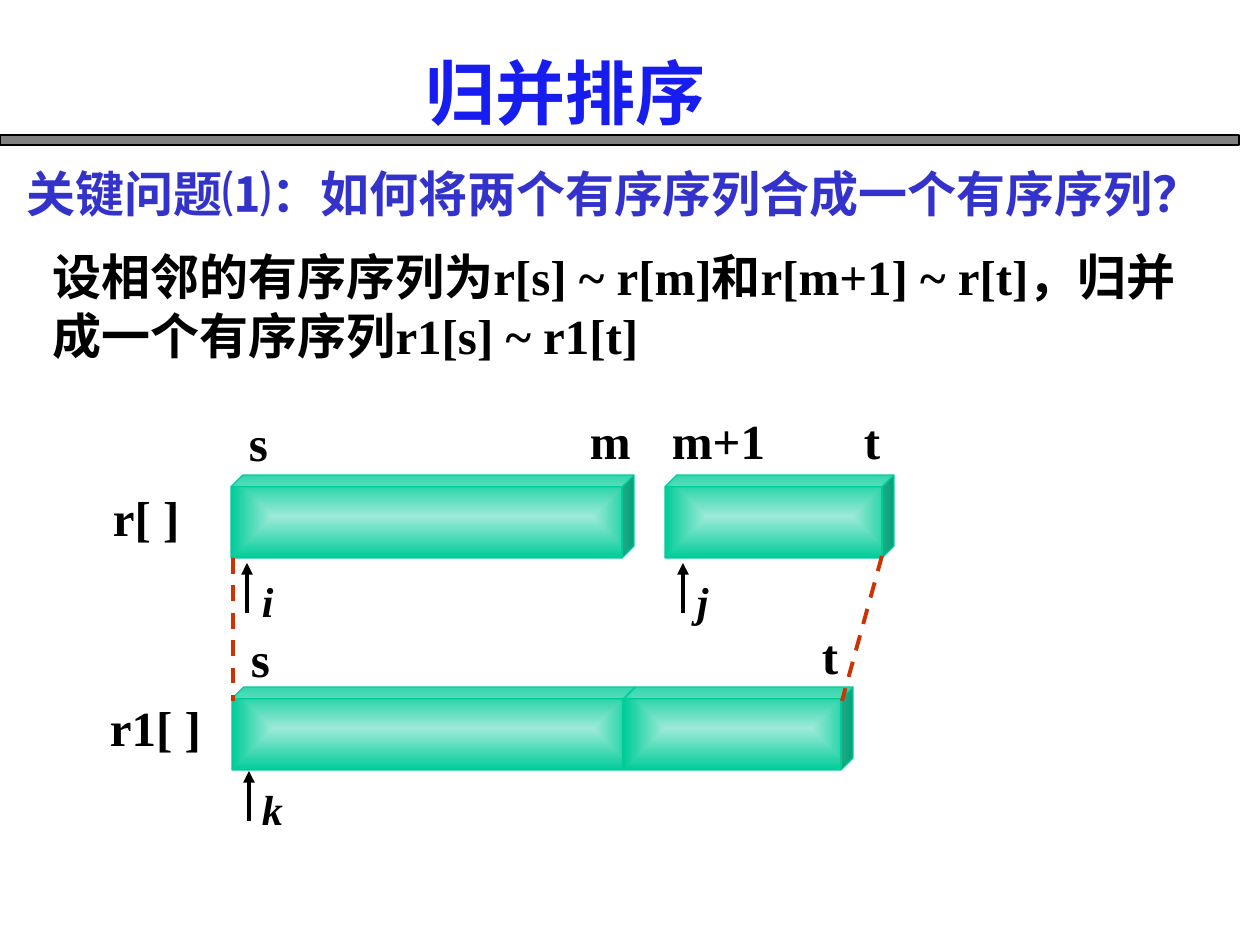
from lxml.etree import SubElement
from pptx import Presentation
from pptx.dml.color import RGBColor
from pptx.enum.dml import MSO_LINE_DASH_STYLE as Dash
from pptx.enum.shapes import MSO_CONNECTOR as Connector, MSO_SHAPE as Shape
from pptx.enum.text import MSO_ANCHOR as Anchor
from pptx.oxml.ns import qn
from pptx.util import Pt

PX = 914400 // 126
SERIF = "Times New Roman"
CJK = "Noto Sans CJK SC"
GREEN = "00CC99"
RED = "CC3300"
BLACK = "000000"


def px(*values):
    return [v * PX for v in values]


def rgb(value):
    return RGBColor.from_string(value)


def add_text(s, x, y, w, h, runs, size=28, color=BLACK, italic=False,
             margins=(0, 0), wrap=False, shadow=False):
    tf = s.shapes.add_textbox(*px(x, y, w, h)).text_frame
    tf.word_wrap = wrap
    tf.vertical_anchor = Anchor.TOP
    tf.margin_left = tf.margin_right = margins[0] * PX
    tf.margin_top = tf.margin_bottom = margins[1] * PX
    p = tf.paragraphs[0]
    p.line_spacing = Pt(size * 1.2)
    for text, font in runs:
        r = p.add_run()
        r.text = text
        r.font.size = Pt(size)
        r.font.bold = True
        r.font.italic = italic
        r.font.color.rgb = rgb(color)
        if shadow:
            add_text_shadow(r)
        r.font.name = font
        SubElement(r.font._element, qn("a:ea"), typeface=CJK)


def add_text_shadow(r):
    effects = SubElement(r.font._element, qn("a:effectLst"))
    outer = SubElement(effects, qn("a:outerShdw"), dist="35921", dir="2700000")
    SubElement(outer, qn("a:srgbClr"), val="808080")


def add_rule(s, x, y, w, h):
    sp = s.shapes.add_shape(Shape.RECTANGLE, *px(x, y, w, h))
    sp.shadow.inherit = False
    sp.fill.solid()
    sp.fill.fore_color.rgb = rgb("808080")
    sp.line.color.rgb = rgb(BLACK)
    sp.line.width = Pt(0.75)


def add_block(s, x, y, w, h=83):
    sp = s.shapes.add_shape(Shape.CUBE, *px(x, y, w, h))
    sp.shadow.inherit = False
    sp.adjustments[0] = 0.143
    sp.fill.gradient()
    for stop, color in zip(sp.fill.gradient_stops, ("9DEAD7", GREEN)):
        stop.color.rgb = rgb(color)
    grad = sp._element.spPr.find(qn("a:gradFill"))
    grad.remove(grad.find(qn("a:lin")))
    center = SubElement(grad, qn("a:path"), {"path": "rect"})
    SubElement(center, qn("a:fillToRect"), dict.fromkeys("ltrb", "50000"))
    sp.line.color.rgb = rgb(GREEN)
    sp.line.width = Pt(0.75)


def add_line(s, x1, y1, x2, y2, color):
    line = s.shapes.add_connector(Connector.STRAIGHT, *px(x1, y1, x2, y2))
    line.line.color.rgb = rgb(color)
    line.line.width = Pt(2.25)
    SubElement(line._element.spPr, qn("a:effectLst"))
    return line


def add_dashed(s, x1, y1, x2, y2):
    add_line(s, x1, y1, x2, y2, RED).line.dash_style = Dash.DASH


def add_pointer(s, x, y, name, label_x):
    arrow = add_line(s, x, y + 50, x, y, BLACK)
    SubElement(arrow.line._ln, qn("a:tailEnd"), type="triangle")
    add_text(s, label_x, y + 13, 25, 50, [(name, SERIF)], 24, italic=True)


def main():
    prs = Presentation()
    prs.slide_width, prs.slide_height = px(1260, 945)
    s = prs.slides.add_slide(prs.slide_layouts[6])

    add_rule(s, 0, 135, 1239, 10)
    add_text(s, 14, 158, 1211, 72,
             [("关键问题⑴：", CJK), ("如何将两个有序序列合成一个有序序列？", "Arial")],
             color="3333CC", margins=(13, 6))
    add_text(s, 413, 44, 399, 97, [("归并排序", CJK)], 40, "171CEF",
             margins=(13, 6), shadow=True)
    add_text(s, 40, 241, 1157, 131,
             [("设相邻的有序序列为r[s] ~ r[m]和r[m+1] ~ r[t]，"
               "归并成一个有序序列r1[s] ~ r1[t]", SERIF)],
             margins=(13, 6), wrap=True)

    for x, y, w in ((231, 475, 403), (665, 475, 229),
                    (232, 687, 403), (624, 687, 229)):
        add_block(s, x, y, w)

    for x, y, w, label in ((249, 413, 25, "s"), (590, 411, 49, "m"),
                           (672, 411, 106, "m+1"), (864, 411, 32, "t"),
                           (113, 488, 74, "r[ ]"), (251, 629, 25, "s"),
                           (822, 626, 32, "t"), (110, 698, 92, "r1[ ]")):
        add_text(s, x, y, w, 59, [(label, SERIF)])

    add_dashed(s, 233, 558, 233, 701)
    add_dashed(s, 882, 556, 842, 701)
    for x, y, name, label_x in ((247, 563, "i", 262), (683, 563, "j", 697),
                                (249, 771, "k", 262)):
        add_pointer(s, x, y, name, label_x)

    prs.save("out.pptx")


if __name__ == "__main__":
    main()
